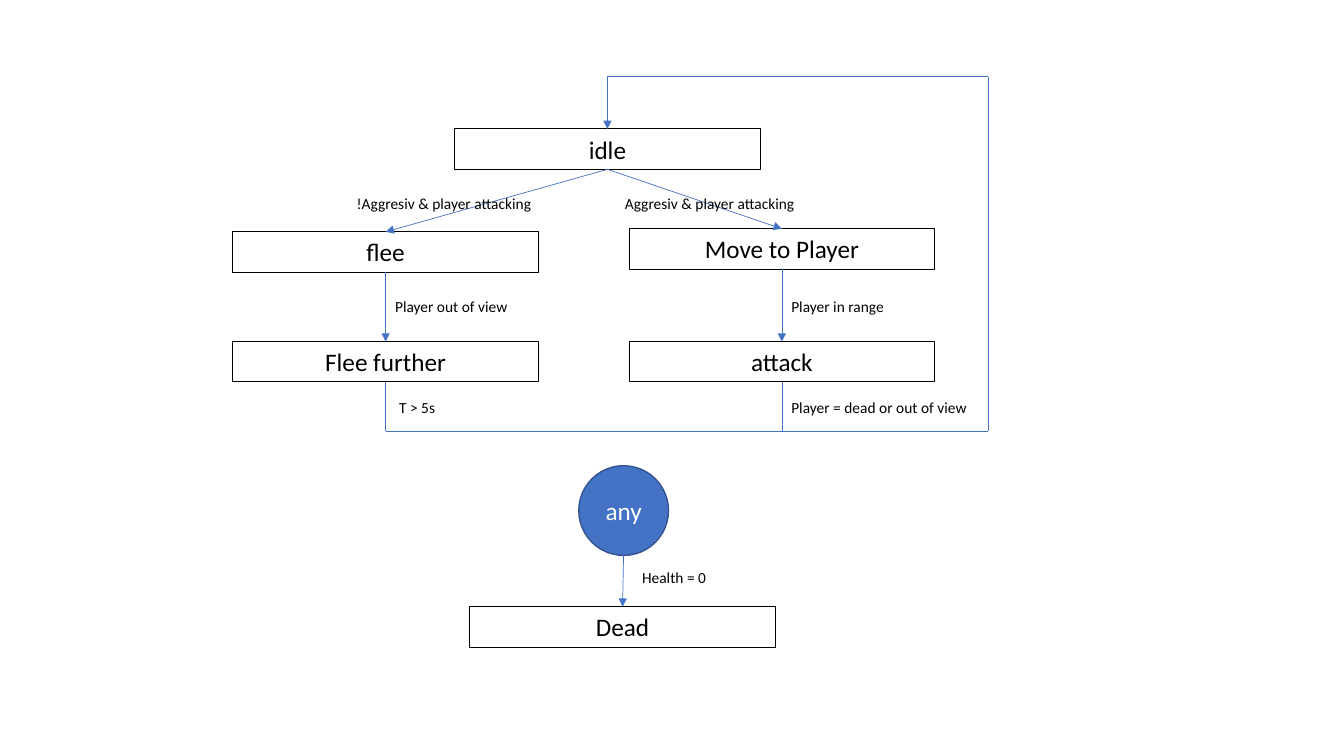
from pptx import Presentation
from pptx.util import Inches, Pt
from pptx.dml.color import RGBColor
from pptx.enum.shapes import MSO_SHAPE as SHAPE, MSO_CONNECTOR as CONN
from pptx.enum.text import PP_ALIGN as ALIGN, MSO_ANCHOR as ANCHOR
from pptx.oxml.ns import qn
from lxml import etree

BLUE, DARK_BLUE, BLACK, WHITE = "4472C4", "325491", "000000", "FFFFFF"
STATE_W, STATE_H, LABEL_W, LABEL_H = 3.03, 0.4, 2.44, 0.29

# States: left, top
STATES = {
    "idle": (4.51, 1.28),
    "flee": (2.31, 2.3),
    "Flee further": (2.31, 3.39),
    "Move to Player": (6.24, 2.27),
    "attack": (6.24, 3.39),
    "Dead": (4.66, 6.02),
}
ANY_LEFT, ANY_TOP, ANY_SIZE = 5.74, 4.62, 0.89

# Direct transitions between states
TRANSITIONS = [
    ("idle", "flee"),
    ("idle", "Move to Player"),
    ("flee", "Flee further"),
    ("Move to Player", "attack"),
]

# Conditions: text, left, top
CONDITIONS = [
    ("!Aggresiv & player attacking", 3.44, 1.88),
    ("Aggresiv & player attacking", 6.1, 1.88),
    ("Player out of view", 3.82, 2.9),
    ("Player in range", 7.75, 2.9),
    ("T > 5s", 3.86, 3.9),
    ("Player = dead or out of view", 7.75, 3.9),
    ("Health = 0", 6.27, 5.59),
]

# Return path to idle
RETURN_Y, RETURN_X, RETURN_TOP = 4.28, 9.8, 0.76

prs = Presentation()
prs.slide_width, prs.slide_height = Inches(13.33), Inches(7.5)
s = prs.slides.add_slide(prs.slide_layouts[6])


def rgb(color):
    return RGBColor.from_string(color)


def write(sp, text, size=18, color=BLACK, align=ALIGN.CENTER, anchor=ANCHOR.TOP):
    tf = sp.text_frame
    tf.word_wrap = True
    tf.vertical_anchor = anchor
    p = tf.paragraphs[0]
    p.alignment = align
    r = p.add_run()
    r.text = text
    r.font.name, r.font.size = "Calibri", Pt(size)
    r.font.color.rgb = rgb(color)


def add_node(kind, left, top, width, height, line, weight, fill=None):
    sp = s.shapes.add_shape(kind, *map(Inches, (left, top, width, height)))
    sp.shadow.inherit = False
    if fill:
        sp.fill.solid()
        sp.fill.fore_color.rgb = rgb(fill)
    else:
        sp.fill.background()
    sp.line.color.rgb = rgb(line)
    sp.line.width = Pt(weight)
    return sp


def add_line(start, end, arrow=False):
    c = s.shapes.add_connector(CONN.STRAIGHT, *map(Inches, (*start, *end)))
    c.line.color.rgb = rgb(BLUE)
    c.line.width = Pt(0.5)
    if arrow:
        etree.SubElement(c.line._get_or_add_ln(), qn("a:tailEnd"), type="triangle")
    etree.SubElement(c._element.spPr, qn("a:effectLst"))


def top_of(state):
    left, top = STATES[state]
    return left + STATE_W / 2, top


def bottom_of(state):
    x, top = top_of(state)
    return x, top + STATE_H


# State boxes
for name, (left, top) in STATES.items():
    write(add_node(SHAPE.RECTANGLE, left, top, STATE_W, STATE_H, BLACK, 0.75), name)

# Circle for any state
any_state = add_node(SHAPE.OVAL, ANY_LEFT, ANY_TOP, ANY_SIZE, ANY_SIZE,
                     DARK_BLUE, 1, fill=BLUE)
write(any_state, "any", color=WHITE, anchor=ANCHOR.MIDDLE)

# Arrows between states
for source, target in TRANSITIONS:
    add_line(bottom_of(source), top_of(target), arrow=True)
add_line((ANY_LEFT + ANY_SIZE / 2, ANY_TOP + ANY_SIZE), top_of("Dead"), arrow=True)

# Return path: both branches drop to one line that leads back up to idle
for state in ("Flee further", "attack"):
    x, y = bottom_of(state)
    add_line((x, y), (x, RETURN_Y))
idle_x, idle_y = top_of("idle")
corners = [(bottom_of("Flee further")[0], RETURN_Y), (RETURN_X, RETURN_Y),
           (RETURN_X, RETURN_TOP), (idle_x, RETURN_TOP), (idle_x, idle_y)]
for start, end in zip(corners, corners[1:]):
    add_line(start, end, arrow=end == corners[-1])

# Condition labels
for text, left, top in CONDITIONS:
    box = s.shapes.add_textbox(*map(Inches, (left, top, LABEL_W, LABEL_H)))
    write(box, text, size=11, align=ALIGN.LEFT)

prs.save("out.pptx")
